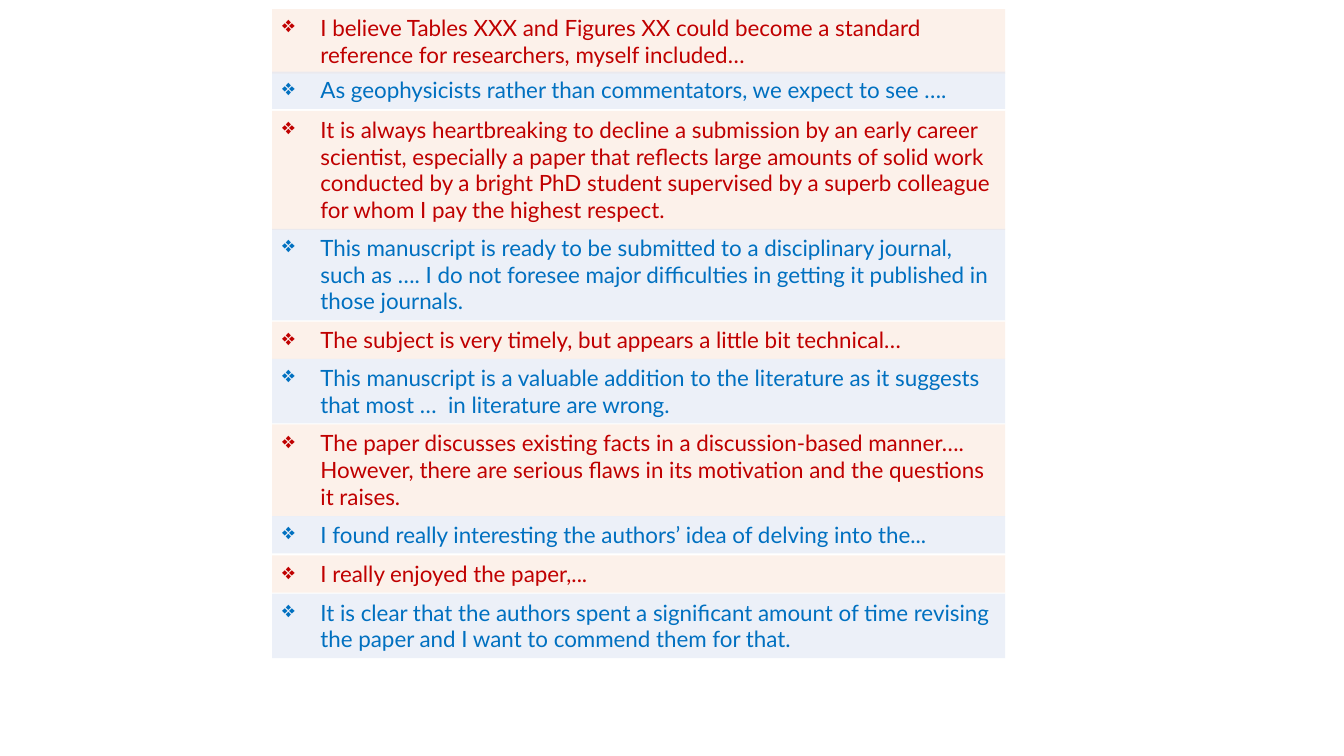
from lxml.etree import SubElement
from pptx import Presentation
from pptx.dml.color import RGBColor
from pptx.enum.text import MSO_AUTO_SIZE
from pptx.oxml.ns import qn
from pptx.util import Inches, Pt

LEFT, WIDTH = 2.7, 7.27
LINE_HEIGHT, PADDING = 0.27, 0.1
RED, BLUE = ("C00000", "FBE5D6"), ("0070C0", "DAE3F3")

COMMENTS = [
    (0.09, 2, "I believe Tables XXX and Figures XX could become a standard reference for researchers, myself included…"),
    (0.71, 1, "As geophysicists rather than commentators, we expect to see …."),
    (1.1, 4, "It is always heartbreaking to decline a submission by an early career scientist, especially a paper "
             "that reflects large amounts of solid work conducted by a bright PhD student supervised by a superb "
             "colleague for whom I pay the highest respect."),
    (2.27, 3, "This manuscript is ready to be submitted to a disciplinary journal, such as …. I do not foresee "
              "major difficulties in getting it published in those journals."),
    (3.19, 1, "The subject is very timely, but appears a little bit technical…"),
    (3.56, 2, "This manuscript is a valuable addition to the literature as it suggests that most …  in literature are wrong."),
    (4.21, 3, "The paper discusses existing facts in a discussion-based manner…. However, there are serious flaws "
              "in its motivation and the questions it raises."),
    (5.12, 1, "I found really interesting the authors’ idea of delving into the..."),
    (5.51, 1, "I really enjoyed the paper,..."),
    (5.89, 2, "It is clear that the authors spent a significant amount of time revising the paper and I want to "
              "commend them for that."),
]


def color(hex_value):
    """Turn a hex string into a colour."""
    return RGBColor.from_string(hex_value)


class ReviewSlide:
    """Holds the text style and the slide that receives the review comments."""

    font, size, bullet, indent, opacity = "Lato", 16, "❖", 0.38, 50

    def __init__(self, slide):
        """Keep the slide to draw on."""
        self.slide = slide

    def add_comment(self, top, lines, text, text_color, fill_color):
        """Add one bulleted comment on a translucent band."""
        shape = self.slide.shapes.add_textbox(
            Inches(LEFT), Inches(top), Inches(WIDTH), Inches(PADDING + lines * LINE_HEIGHT))
        self.fill_band(shape, fill_color)
        text_frame = shape.text_frame
        text_frame.word_wrap = True
        text_frame.auto_size = MSO_AUTO_SIZE.SHAPE_TO_FIT_TEXT
        text_frame.text = text
        paragraph = text_frame.paragraphs[0]
        self.add_bullet(paragraph)
        font = paragraph.runs[0].font
        font.name, font.size = self.font, Pt(self.size)
        font.color.rgb = color(text_color)

    def fill_band(self, shape, fill_color):
        """Fill a shape with a translucent colour."""
        shape.fill.solid()
        shape.fill.fore_color.rgb = color(fill_color)
        solid_color = shape._element.spPr.find(qn("a:solidFill")).find(qn("a:srgbClr"))
        SubElement(solid_color, qn("a:alpha"), val=str(self.opacity * 1000))

    def add_bullet(self, paragraph):
        """Give a paragraph a hanging bullet."""
        properties = paragraph._p.get_or_add_pPr()
        properties.set("marL", str(Inches(self.indent)))
        properties.set("indent", str(-Inches(self.indent)))
        SubElement(properties, qn("a:buChar"), char=self.bullet)


def main():
    """Build the slide of review comments and save it."""
    presentation = Presentation()
    presentation.slide_width, presentation.slide_height = Inches(13.33), Inches(7.5)
    review = ReviewSlide(presentation.slides.add_slide(presentation.slide_layouts[6]))
    for index, (top, lines, text) in enumerate(COMMENTS):
        review.add_comment(top, lines, text, *(BLUE if index % 2 else RED))
    presentation.save("out.pptx")


if __name__ == "__main__":
    main()
